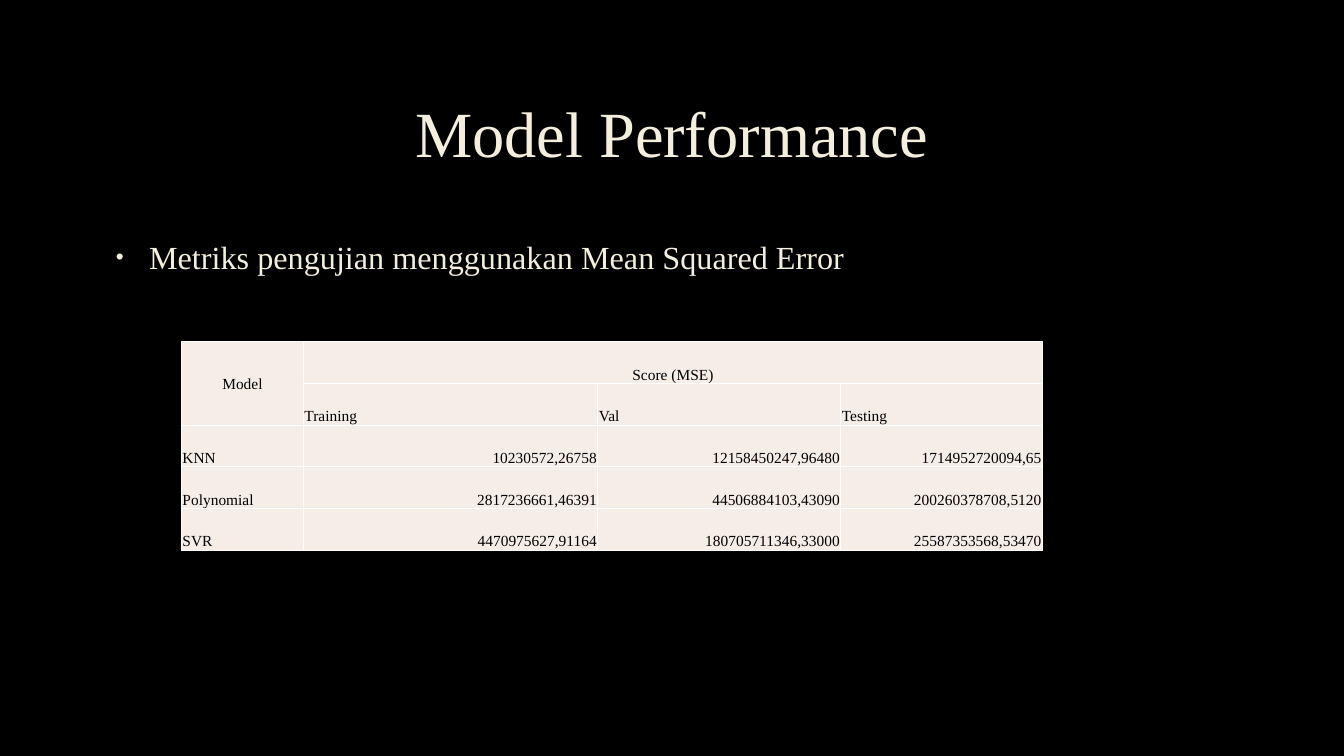
from lxml import etree
from pptx import Presentation
from pptx import util as u
from pptx.dml.color import RGBColor
from pptx.enum import text
from pptx.oxml.ns import qn

TITLE = "Model Performance"
BULLET = "Metriks pengujian menggunakan Mean Squared Error"
ROWS = [
    ("Model", "Score (MSE)", "", ""),
    ("", "Training", "Val", "Testing"),
    ("KNN", "10230572,26758", "12158450247,96480", "1714952720094,65"),
    ("Polynomial", "2817236661,46391", "44506884103,43090", "200260378708,5120"),
    ("SVR", "4470975627,91164", "180705711346,33000", "25587353568,53470"),
]
COL_WIDTHS = (1.21, 2.92, 2.41, 2)
ROW_HEIGHT = 2.07 / len(ROWS)
HEADER_ROWS = 2
MARGIN, CONTENT_WIDTH = 1, 11.32

FONT = "Times New Roman"
BLACK = RGBColor(0, 0, 0)
WHITE = RGBColor(0xFF, 0xFF, 0xFF)
CREAM = RGBColor(0xF4, 0xEE, 0xDC)
BLUSH = RGBColor(0xF6, 0xED, 0xE7)
ALIGN, ANCHOR = text.PP_ALIGN, text.MSO_ANCHOR


def style(p, size, color):
    for r in p.runs:
        r.font.name, r.font.size = FONT, u.Pt(size)
        r.font.color.rgb = color


def add_text(s, top, height, words, size, anchor):
    sp = s.shapes.add_textbox(*map(u.Inches, (MARGIN, top, CONTENT_WIDTH, height)))
    tf = sp.text_frame
    tf.word_wrap, tf.vertical_anchor = True, anchor
    p = tf.paragraphs[0]
    p.text = words
    style(p, size, CREAM)
    return p


def add_bullet(p, indent, hanging, color, percent):
    pPr = p._p.get_or_add_pPr()
    pPr.set("marL", str(u.Inches(indent)))
    pPr.set("indent", str(-u.Inches(hanging)))
    clr = etree.SubElement(pPr, qn("a:buClr"))
    etree.SubElement(clr, qn("a:srgbClr"), val=str(color))
    etree.SubElement(pPr, qn("a:buSzPct"), val=str(percent * 1000))
    etree.SubElement(pPr, qn("a:buFont"), typeface="Arial")
    etree.SubElement(pPr, qn("a:buChar"), char="•")


def format_cell(cell, align, anchor):
    cell.margin_left = cell.margin_right = cell.margin_top = u.Inches(0.01)
    cell.margin_bottom = 0
    cell.vertical_anchor = anchor
    p = cell.text_frame.paragraphs[0]
    p.alignment = align
    style(p, 11, BLACK)
    tcPr = cell._tc.get_or_add_tcPr()
    for side in ("lnL", "lnR", "lnT", "lnB"):
        ln = etree.SubElement(tcPr, qn(f"a:{side}"), w=str(u.Pt(1)))
        fill = etree.SubElement(ln, qn("a:solidFill"))
        etree.SubElement(fill, qn("a:srgbClr"), val=str(WHITE))
    cell.fill.solid()
    cell.fill.fore_color.rgb = BLUSH


def add_score_table(s, left, top):
    size = (sum(COL_WIDTHS), ROW_HEIGHT * len(ROWS))
    table = s.shapes.add_table(len(ROWS), len(COL_WIDTHS),
                               *map(u.Inches, (left, top, *size))).table
    for column, width in zip(table.columns, COL_WIDTHS):
        column.width = u.Inches(width)
    for i, row in enumerate(ROWS):
        for j, words in enumerate(row):
            cell = table.cell(i, j)
            cell.text = words
            if i == 0:
                align = ALIGN.CENTER
            else:
                align = ALIGN.RIGHT if i >= HEADER_ROWS and j else ALIGN.LEFT
            format_cell(cell, align, ANCHOR.MIDDLE if i == j == 0 else ANCHOR.BOTTOM)
    table.cell(0, 0).merge(table.cell(1, 0))
    table.cell(0, 1).merge(table.cell(0, len(COL_WIDTHS) - 1))


def main():
    prs = Presentation()
    prs.slide_width, prs.slide_height = u.Inches(13.33), u.Inches(7.5)
    s = prs.slides.add_slide(prs.slide_layouts[6])
    s.background.fill.solid()
    s.background.fill.fore_color.rgb = BLACK

    title = add_text(s, 0.67, 1.38, TITLE, 46, ANCHOR.MIDDLE)
    title.alignment, title.line_spacing = ALIGN.CENTER, 0.9

    bullet = add_text(s, 2.27, 4.06, BULLET, 23, ANCHOR.TOP)
    bullet.line_spacing = 1.1
    bullet.space_before, bullet.space_after = u.Pt(4.6), u.Pt(6)
    add_bullet(bullet, 0.38, 0.33, CREAM, 70)

    add_score_table(s, 1.8, 3.39)
    prs.save("out.pptx")


if __name__ == "__main__":
    main()
